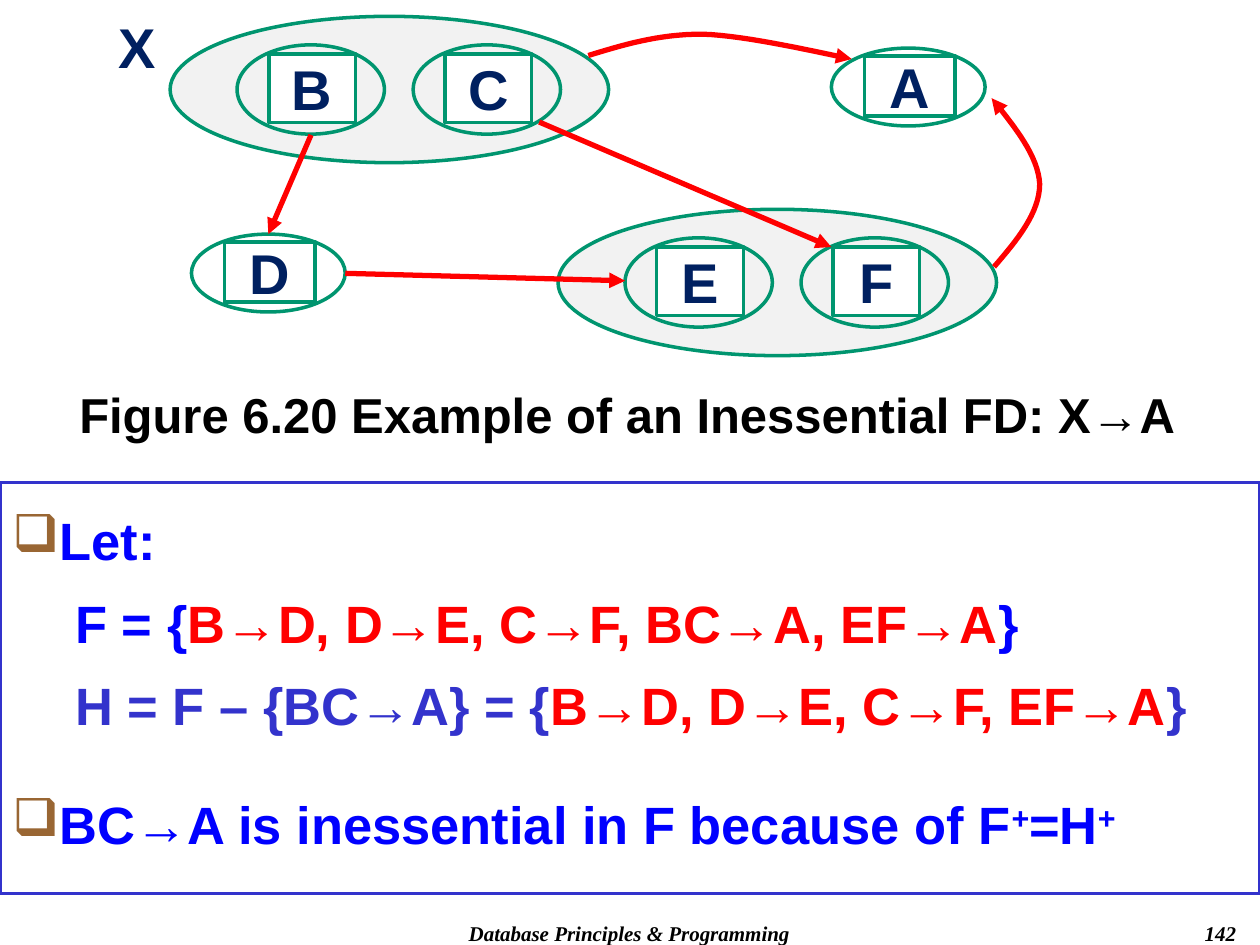
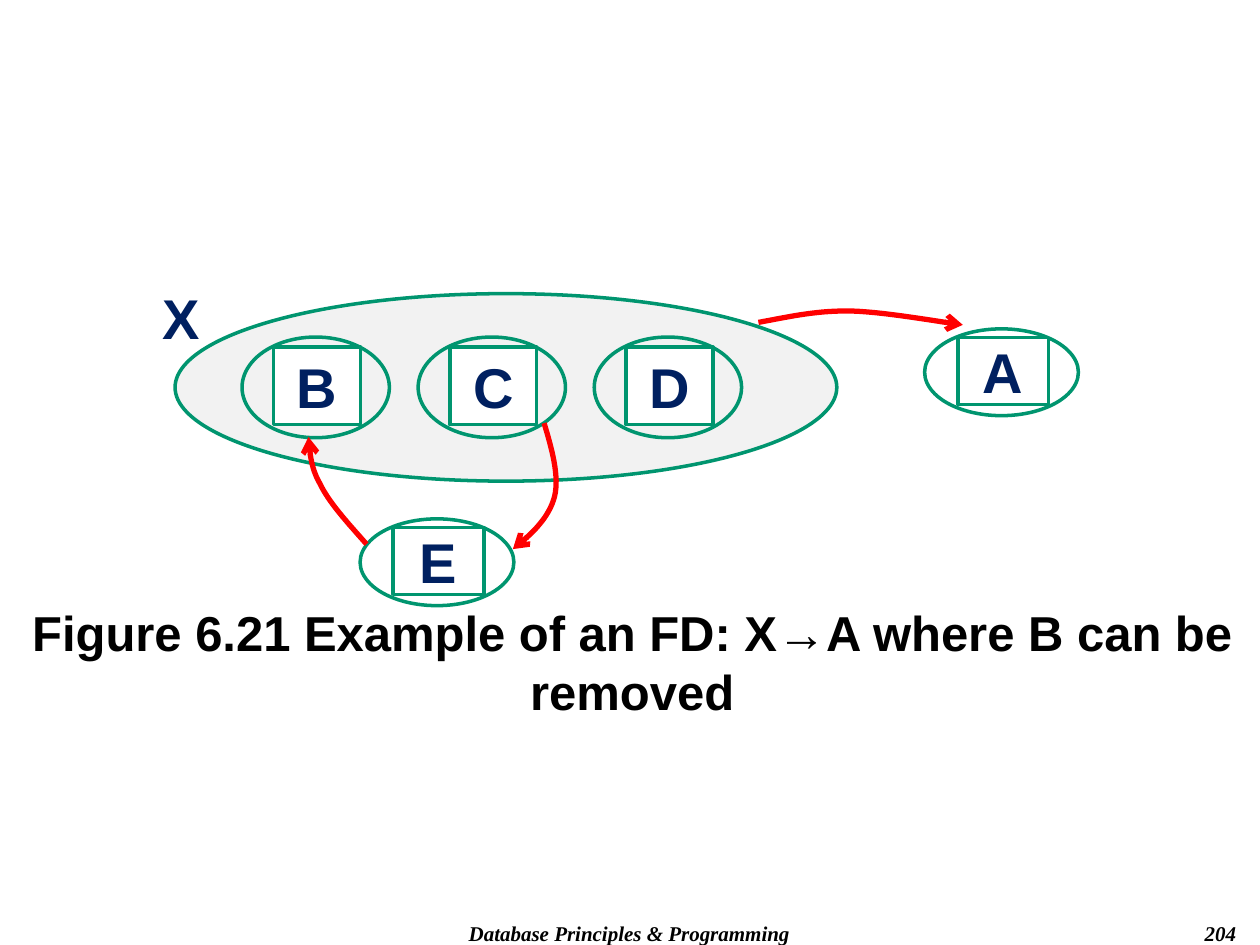
import lxml.etree
import pptx
import pptx.dml.color
import pptx.enum.shapes
import pptx.enum.text
import pptx.oxml.ns
import pptx.util

Cm = pptx.util.Cm
ALIGN = pptx.enum.text.PP_ALIGN
ANCHOR = pptx.enum.text.MSO_ANCHOR
SHAPE = pptx.enum.shapes.MSO_SHAPE

COLORS = {
    "black": "000000", "white": "FFFFFF", "navy": "002060", "blue": "0000FF",
    "indigo": "3333CC", "red": "FF0000", "green": "00956F", "grey": "F2F2F2",
    "brown": "996633",
}
PAD = (0.25, 0.13, 0.25, 0.13)
CURVE_STEPS = 16


def rgb(name):
    """Return the named colour."""
    return pptx.dml.color.RGBColor.from_string(COLORS[name])


def add_child(parent, tag, **attrs):
    """Append a DrawingML element."""
    return lxml.etree.SubElement(parent, pptx.oxml.ns.qn(tag), attrs)


def add_text(p, text, size=28, color="black", font="Arial", italic=False, sup=False):
    """Add one bold run to a paragraph."""
    r = p.add_run()
    r.text = text
    r.font.size = pptx.util.Pt(size)
    r.font.name = font
    r.font.bold = True
    r.font.italic = italic
    r.font.color.rgb = rgb(color)
    if sup:
        r._r.get_or_add_rPr().set("baseline", "30000")


def set_frame(sp, insets=PAD, anchor=ANCHOR.TOP):
    """Prepare the text frame of a shape and return it."""
    tf = sp.text_frame
    tf.word_wrap = True
    tf.vertical_anchor = anchor
    tf.margin_left, tf.margin_top, tf.margin_right, tf.margin_bottom = map(Cm, insets)
    return tf


def add_label(s, box, text, align=ALIGN.CENTER, insets=PAD, anchor=ANCHOR.TOP, **fmt):
    """Add a text box with one paragraph."""
    tf = set_frame(s.shapes.add_textbox(*map(Cm, box)), insets, anchor)
    p = tf.paragraphs[0]
    p.alignment = align
    add_text(p, text, **fmt)


def add_outline(s, kind, box, fill=None, line="green"):
    """Add an outlined preset shape, filled if a colour is given."""
    sp = s.shapes.add_shape(kind, *map(Cm, box))
    sp.shadow.inherit = False
    if fill:
        sp.fill.solid()
        sp.fill.fore_color.rgb = rgb(fill)
    else:
        sp.fill.background()
    sp.line.color.rgb = rgb(line)
    sp.line.width = pptx.util.Pt(2)
    return sp


def add_attribute(s, box, name):
    """Draw an attribute as an ellipse around a lettered rectangle."""
    x, y, w, h = box
    add_outline(s, SHAPE.OVAL, box)
    inner = (x + 0.215 * w, y + 0.1 * h, 0.59 * w, 0.77 * h)
    sp = add_outline(s, SHAPE.RECTANGLE, inner, fill="white")
    p = set_frame(sp, (0, 0, 0, 0), ANCHOR.MIDDLE).paragraphs[0]
    p.alignment = ALIGN.CENTER
    add_text(p, name, size=32, color="navy")


def add_attribute_set(s, box, names, height):
    """Draw a shaded ellipse holding a row of attributes."""
    x, y, w, h = box
    add_outline(s, SHAPE.OVAL, box, fill="grey")
    for i, name in enumerate(names):
        add_attribute(s, (x + 1.35 + 3.55 * i, y + (h - height) / 2, 2.97, height), name)


def bezier(points, t):
    """Return the point at t on a cubic curve."""
    weights = ((1 - t) ** 3, 3 * t * (1 - t) ** 2, 3 * t * t * (1 - t), t ** 3)
    return tuple(sum(k * pt[axis] for k, pt in zip(weights, points)) for axis in (0, 1))


def add_arrow(s, points, head):
    """Draw a straight arrow from two points or a curved one from cubic controls."""
    if len(points) == 2:
        sp = s.shapes.add_connector(
            pptx.enum.shapes.MSO_CONNECTOR.STRAIGHT,
            *(Cm(v) for point in points for v in point))
        add_child(sp._element.spPr, "a:effectLst")
    else:
        track = [bezier(points[i:i + 4], n / CURVE_STEPS)
                 for i in range(0, len(points) - 1, 3)
                 for n in range(1, CURVE_STEPS + 1)]
        builder = s.shapes.build_freeform(*map(Cm, points[0]))
        builder.add_line_segments([tuple(map(Cm, pt)) for pt in track], close=False)
        sp = builder.convert_to_shape()
        sp.shadow.inherit = False
        sp.fill.background()
    sp.line.color.rgb = rgb("red")
    sp.line.width = pptx.util.Pt(3)
    add_child(sp.line._get_or_add_ln(), "a:tailEnd", type=head)


def add_diagram(s, origin, x_label, sets, singles, arrows, set_height, single_height, head):
    """Draw a dependency diagram with all places measured from its origin."""
    left, top = origin
    for (x, y, w, h), names in sets:
        add_attribute_set(s, (left + x, top + y, w, h), names, set_height)
    for (x, y), name in singles:
        add_attribute(s, (left + x, top + y, 3.1, single_height), name)
    x, y = x_label
    add_label(s, (left + x, top + y, 1.32, 0.88), "X", insets=(0, 0, 0, 0),
              anchor=ANCHOR.MIDDLE, size=32, color="navy")
    for points in arrows:
        add_arrow(s, [(left + x, top + y) for x, y in points], head)


def add_footer(s, number):
    """Add the course name and the slide number."""
    fmt = dict(size=12, font="Times New Roman", italic=True)
    add_label(s, (7.19, 18.42, 11, 0.63), "Database Principles & Programming", **fmt)
    add_label(s, (19.89, 18.42, 5.28, 0.63), number, align=ALIGN.RIGHT, **fmt)


def add_derivation(s, box):
    """Add the framed text that derives the inessential dependency."""
    lines = [
        (True, 0, [("Let:", "blue")]),
        (False, 7.5, [("F = {", "blue"), ("B→D, D→E, C→F, BC→A, EF→A", "red"), ("}", "blue")]),
        (False, 7.5, [("H = F – {BC→A} = {", "indigo"), ("B→D, D→E, C→F, EF→A", "red"),
                      ("}", "indigo")]),
        (True, 28.5, [("BC→A is inessential in F because of F", "blue"), ("+", "blue"),
                      ("=H", "blue"), ("+", "blue")]),
    ]
    sp = add_outline(s, SHAPE.RECTANGLE, box, line="indigo")
    tf = set_frame(sp, (0.25, 0.39, 0.25, 0.13))
    for i, (bullet, before, runs) in enumerate(lines):
        p = tf.paragraphs[0] if i == 0 else tf.add_paragraph()
        pPr = p._p.get_or_add_pPr()
        left, hang = (0.95, 0.95) if bullet else (2.06, 0.79)
        pPr.set("marL", str(Cm(left)))
        pPr.set("indent", str(-Cm(hang)))
        if bullet:
            add_child(add_child(pPr, "a:buClr"), "a:srgbClr", val=COLORS["brown"])
            add_child(pPr, "a:buChar", char="❑")
        p.alignment = ALIGN.LEFT
        p.line_spacing = 1.1
        p.space_before = pptx.util.Pt(before)
        for text, color in runs:
            add_text(p, text, size=30, color=color, sup=text == "+")


def build_inessential(prs):
    """Build the slide on an inessential dependency."""
    s = prs.slides.add_slide(prs.slide_layouts[6])
    add_footer(s, "142")
    add_derivation(s, (0, 9.73, 25.4, 8.28))
    add_diagram(
        s, (2, 0), x_label=(0.11, 0.48),
        sets=[((1.43, 0.33, 8.84, 2.95), "BC"), ((9.25, 4.22, 8.84, 2.95), "EF")],
        singles=[((1.86, 4.72), "D"), ((14.76, 0.97), "A")],
        arrows=[
            [(9.86, 1.12), (10.55, 0.91), (11.26, 0.69), (12.15, 0.69),
             (13.04, 0.71), (14.64, 1.09), (15.17, 1.19)],
            [(4.27, 2.72), (3.41, 4.72)],
            [(8.87, 2.46), (14.76, 4.98)],
            [(4.96, 5.51), (10.6, 5.66)],
            [(18.04, 5.38), (18.5, 4.85), (18.96, 4.29), (18.96, 3.71),
             (18.93, 3.15), (18.47, 2.57), (17.99, 1.98)],
        ],
        set_height=1.8, single_height=1.57, head="triangle")
    add_label(s, (0.2, 7.62, 24.89, 1.45), "Figure 6.20 Example of an Inessential FD: X→A")


def build_removable(prs):
    """Build the slide on a removable attribute."""
    s = prs.slides.add_slide(prs.slide_layouts[6])
    add_footer(s, "204")
    add_diagram(
        s, (3, 5), x_label=(0, 0.95),
        sets=[((0.53, 0.92, 13.34, 3.78), "BCD")],
        singles=[((4.26, 5.46), "E"), ((15.64, 1.63), "A")],
        arrows=[
            [(12.29, 1.5), (12.85, 1.4), (13.38, 1.27), (14.07, 1.27),
             (14.75, 1.27), (16, 1.5), (16.41, 1.55)],
            [(4.39, 5.97), (4.01, 5.54), (3.63, 5.13), (3.45, 4.75),
             (3.25, 4.4), (3.25, 4.09), (3.22, 3.81)],
            [(7.97, 3.53), (8.13, 4.07), (8.28, 4.6), (8.18, 5.01),
             (8.07, 5.44), (7.72, 5.77), (7.34, 6.07)],
        ],
        set_height=2.03, single_height=1.75, head="arrow")
    add_label(s, (0.3, 12.01, 24.89, 2.64),
              "Figure 6.21 Example of an FD: X→A where B can be removed")


def main():
    """Build and save the presentation."""
    prs = pptx.Presentation()
    prs.slide_width, prs.slide_height = Cm(25.4), Cm(19.05)
    build_inessential(prs)
    build_removable(prs)
    prs.save("out.pptx")


if __name__ == "__main__":
    main()
